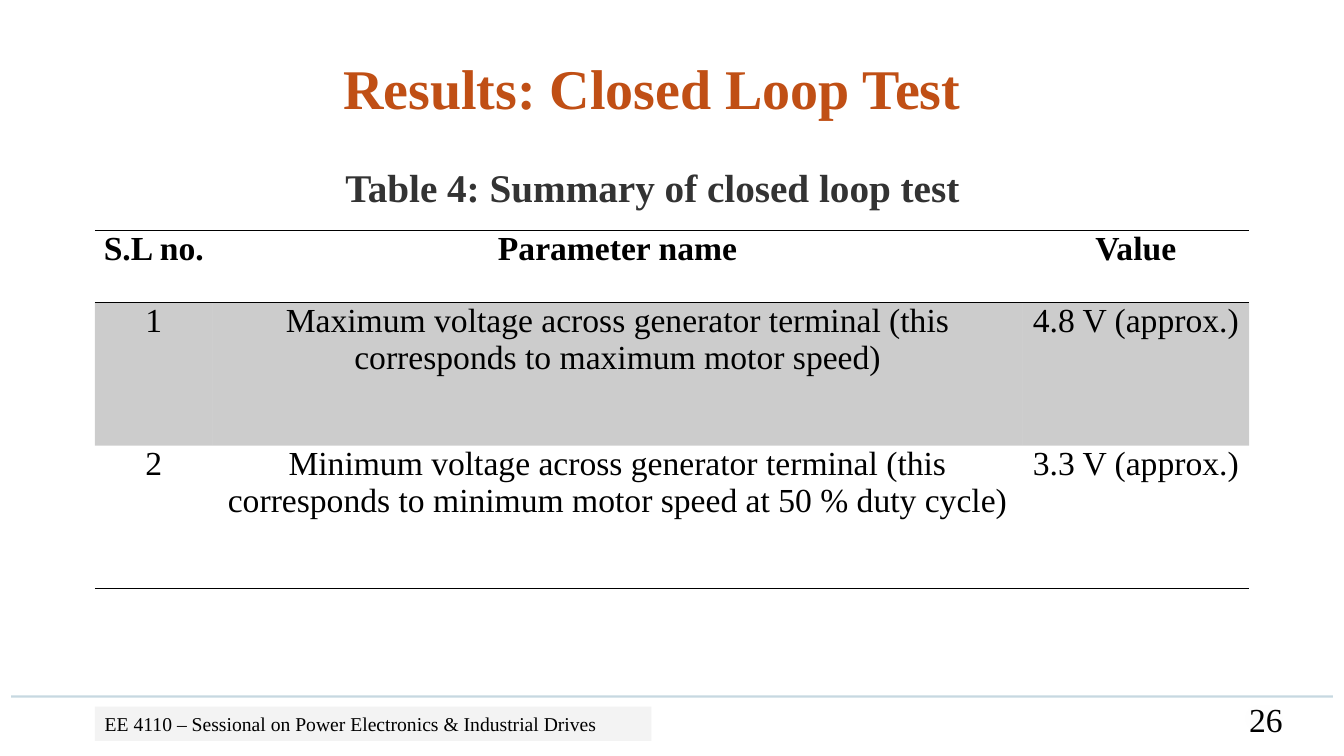
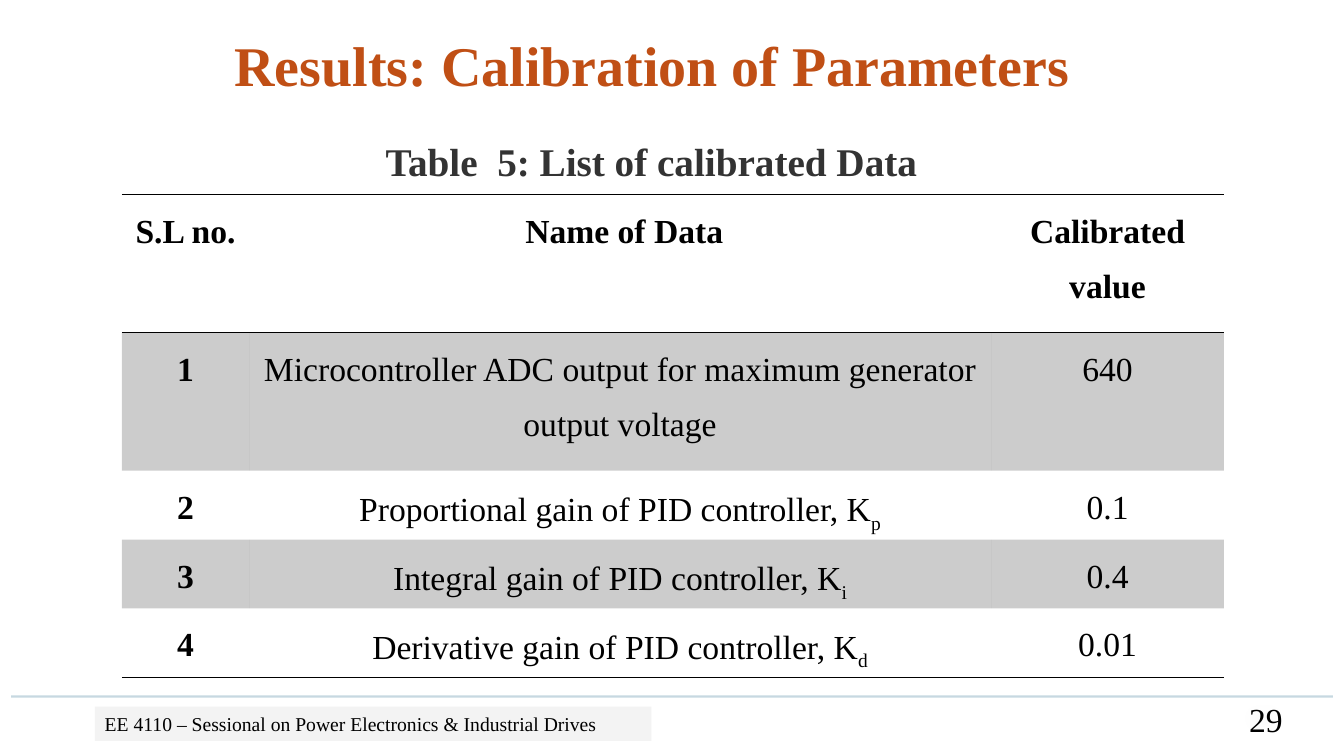
from lxml.etree import SubElement
from pptx import Presentation
from pptx.dml.color import RGBColor
from pptx.enum.shapes import MSO_CONNECTOR, MSO_SHAPE
from pptx.enum.text import MSO_ANCHOR, MSO_AUTO_SIZE, PP_ALIGN
from pptx.oxml import parse_xml
from pptx.oxml.ns import nsdecls, qn
from pptx.util import Inches, Pt

FONT = "Times New Roman"
BLACK = RGBColor(0x00, 0x00, 0x00)
ORANGE = RGBColor(0xC0, 0x4F, 0x15)
CHARCOAL = RGBColor(0x33, 0x33, 0x33)
TEAL = RGBColor(0x15, 0x60, 0x82)
GRAY = RGBColor(0xD1, 0xD1, 0xD1)
PALE_GRAY = RGBColor(0xF2, 0xF2, 0xF2)

FOOTER = "EE 4110 – Sessional on Power Electronics & Industrial Drives"
PLAIN_TABLE = "{2D5ABB26-0587-4C30-8999-92F81FD0307C}"


def set_alpha(props, percent):
    """Make every RGB colour below the properties element partly opaque."""
    for clr in props.iter(qn("a:srgbClr")):
        SubElement(clr, qn("a:alpha"), val=str(percent * 1000))


def write(tf, text, size=24, color=BLACK, bold=False, align=PP_ALIGN.CENTER,
          spacing=None, after=None):
    """Fill a text frame; what follows an underscore becomes a subscript."""
    p = tf.paragraphs[0]
    p.alignment = align
    if spacing:
        p.line_spacing = spacing
    if after:
        p.space_after = Pt(after)
    base, _, subscript = text.partition("_")
    for part, offset in ((base, 0), (subscript, -25000)):
        if not part:
            continue
        r = p.add_run()
        r.text = part
        r.font.name = FONT
        r.font.size = Pt(size)
        r.font.bold = bold
        r.font.color.rgb = color
        if offset:
            r.font._element.set("baseline", str(offset))


def add_border(cell, side):
    ln = parse_xml(
        f'<a:{side} {nsdecls("a")} w="12700"><a:solidFill>'
        f'<a:srgbClr val="{BLACK}"/></a:solidFill></a:{side}>')
    cell._tc.get_or_add_tcPr().insert(0, ln)


class Deck:
    """Holds the presentation, its style and the current slide."""

    def __init__(self):
        self.prs = Presentation()
        self.prs.slide_width = Inches(13.33)
        self.prs.slide_height = Inches(7.5)

    def new_slide(self, title, title_top, number):
        self.s = self.prs.slides.add_slide(self.prs.slide_layouts[5])
        self.title(title, title_top)
        self.rule()
        self.number(number)
        self.footer()

    def title(self, text, top):
        sp = self.s.shapes.title
        sp.left, sp.top = Inches(0.11), Inches(top)
        sp.width, sp.height = Inches(12.71), Inches(0.77)
        tf = sp.text_frame
        tf.auto_size = MSO_AUTO_SIZE.NONE
        tf.vertical_anchor = MSO_ANCHOR.TOP
        write(tf, text, size=40, color=ORANGE, bold=True)

    def rule(self):
        y = Inches(6.91)
        line = self.s.shapes.add_connector(
            MSO_CONNECTOR.STRAIGHT, Inches(0.11), y, Inches(13.22), y)
        line.line.color.rgb = TEAL
        line.line.width = Pt(1.5)
        props = line._element.spPr
        set_alpha(props, 23)
        SubElement(props, qn("a:effectLst"))

    def box(self, left, top, width, height, fill):
        sp = self.s.shapes.add_shape(
            MSO_SHAPE.RECTANGLE, Inches(left), Inches(top),
            Inches(width), Inches(height))
        sp.shadow.inherit = False
        sp.fill.solid()
        sp.fill.fore_color.rgb = fill
        sp.line.fill.background()
        return sp

    def number(self, number):
        sp = self.box(12.25, 6.93, 0.57, 0.4, PALE_GRAY)
        effects = sp._element.spPr.find(qn("a:effectLst"))
        SubElement(effects, qn("a:softEdge"), rad=str(Pt(10)))
        write(sp.text_frame, str(number), align=PP_ALIGN.RIGHT)

    def footer(self):
        sp = self.box(0.94, 7.01, 5.52, 0.34, GRAY)
        set_alpha(sp._element.spPr, 25)
        sp.text_frame.vertical_anchor = MSO_ANCHOR.TOP
        write(sp.text_frame, FOOTER, size=14, align=PP_ALIGN.LEFT)

    def caption(self, text, left, top, width):
        sp = self.s.shapes.add_textbox(
            Inches(left), Inches(top), Inches(width), Inches(0.73))
        sp.text_frame.word_wrap = True
        write(sp.text_frame, text, size=28, color=CHARCOAL, bold=True,
              spacing=1.5, after=8)

    def table(self, rows, left, top, widths, heights, bold_first=False,
              **text_format):
        """Add a ruled table with a bold header and shaded odd body rows."""
        frame = self.s.shapes.add_table(
            len(rows), len(widths), Inches(left), Inches(top),
            Inches(sum(widths)), Inches(sum(heights)))
        table = frame.table
        table.horz_banding = False
        table._tbl.tblPr.find(qn("a:tableStyleId")).text = PLAIN_TABLE
        for column, width in zip(table.columns, widths):
            column.width = Inches(width)
        for row, height in zip(table.rows, heights):
            row.height = Inches(height)
        for i, row in enumerate(rows):
            for j, text in enumerate(row):
                cell = table.cell(i, j)
                cell.margin_left = cell.margin_right = Inches(0.07)
                cell.margin_top = cell.margin_bottom = 0
                bold = i == 0 or (bold_first and j == 0)
                write(cell.text_frame, text, bold=bold, **text_format)
                if i % 2:
                    cell.fill.solid()
                    cell.fill.fore_color.rgb = BLACK
                    set_alpha(cell._tc.tcPr, 20)
                else:
                    cell.fill.background()
                if i in (0, len(rows) - 1):
                    add_border(cell, "lnB")
                if i == 0:
                    add_border(cell, "lnT")


def main():
    deck = Deck()

    deck.new_slide("Results: Closed Loop Test", 0.48, 26)
    deck.caption("Table 4: Summary of closed loop test", 1.75, 1.34, 9.44)
    deck.table(
        [("S.L no.", "Parameter name", "Value"),
         ("1", "Maximum voltage across generator terminal "
               "(this corresponds to maximum motor speed)",
          "4.8 V (approx.)"),
         ("2", "Minimum voltage across generator terminal "
               "(this corresponds to minimum motor speed at 50 % duty cycle)",
          "3.3 V (approx.)")],
        0.94, 2.29, (1.17, 8.03, 2.25), (0.71, 1.42, 1.42), after=15.6)

    deck.new_slide("Results: Calibration of Parameters", 0.25, 29)
    deck.caption("Table  5: List of calibrated Data", 0.68, 1.08, 11.56)
    deck.table(
        [("S.L no.", " Name of Data", "Calibrated value"),
         ("1", "Microcontroller ADC output for maximum generator "
               "output voltage", "640"),
         ("2", "Proportional gain of PID controller, K_p", "0.1"),
         ("3", "Integral gain of PID controller, K_i", "0.4"),
         ("4", "Derivative gain of PID controller, K_d", "0.01")],
        1.21, 1.93, (1.26, 7.36, 2.31), (1.37,) * 2 + (0.65,) * 3,
        bold_first=True, spacing=1.5)

    deck.prs.save("out.pptx")


if __name__ == "__main__":
    main()
